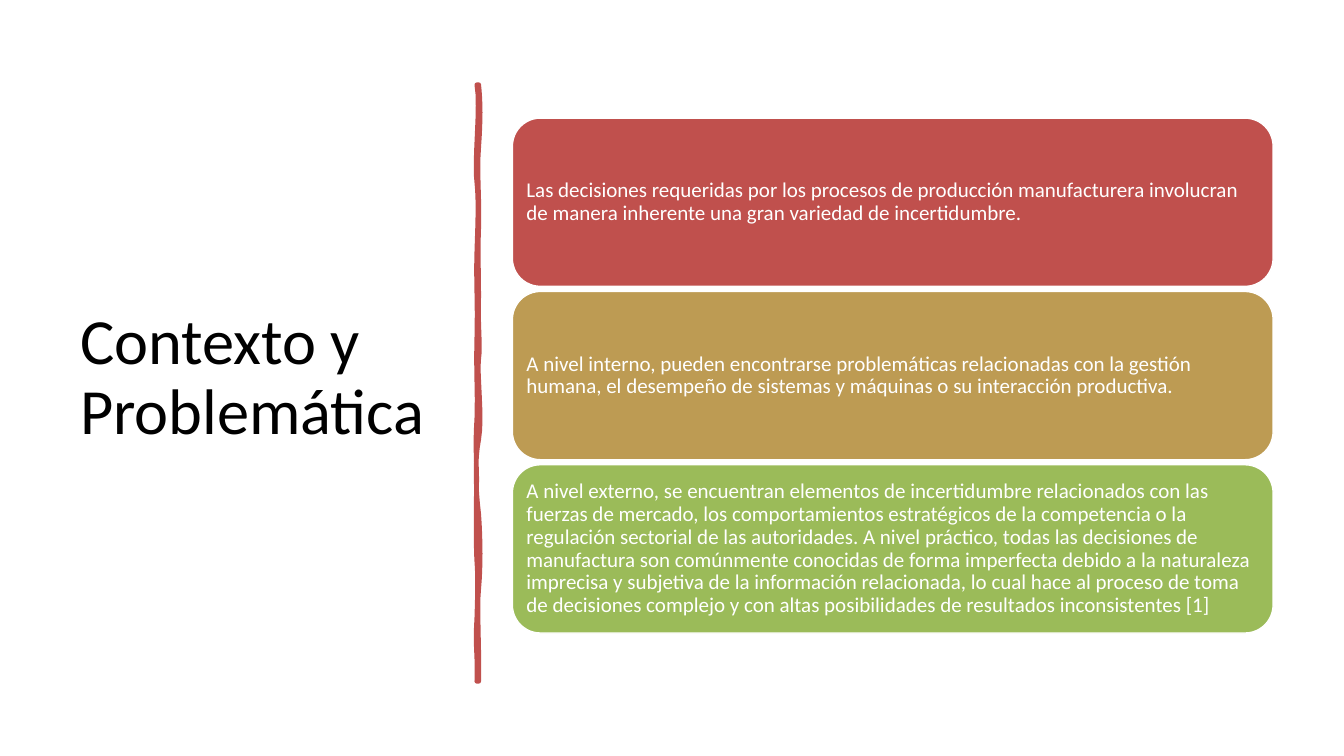
from pptx import Presentation
from pptx.dml.color import RGBColor
from pptx.enum import shapes, text
from pptx.util import Pt

FONT = "Calibri"
COLORS = {"red": "C0504D", "gold": "BD9B53", "green": "9BBB59",
          "white": "FFFFFF", "black": "000000"}
TITLE = "Contexto y Problemática"
STATEMENTS = [
    ("red", "Las decisiones requeridas por los procesos de producción manufacturera "
            "involucran de manera inherente una gran variedad de incertidumbre."),
    ("gold", "A nivel interno, pueden encontrarse problemáticas relacionadas con la "
             "gestión humana, el desempeño de sistemas y máquinas o su interacción "
             "productiva."),
    ("green", "A nivel externo, se encuentran elementos de incertidumbre relacionados "
              "con las fuerzas de mercado, los comportamientos estratégicos de la "
              "competencia o la regulación sectorial de las autoridades. A nivel "
              "práctico, todas las decisiones de manufactura son comúnmente conocidas "
              "de forma imperfecta debido a la naturaleza imprecisa y subjetiva de la "
              "información relacionada, lo cual hace al proceso de toma de decisiones "
              "complejo y con altas posibilidades de resultados inconsistentes [1]"),
]
RIGHT_EDGE = [
    (1.4, 13, 1.4, 25, 44.6), (-1.4, 64, 0.7, 80, 102.2),
    (-0.7, 124.5, 0, 128, 151.2), (-0.7, 173.5, 1.4, 186, 195.8),
    (-1.4, 206, 2.9, 237.6, 253.4), (-2.9, 268.5, -2.2, 288, 306.7),
    (1.4, 325.4, 1.4, 345.6, 360), (-1.4, 373.7, 0.7, 407.5, 426.2),
]
LEFT_EDGE = [
    (0.7, 404.6, -1.4, 403.2, 380.9), (0.7, 359.3, 0.7, 350, 340.5),
    (-0.7, 331.2, -0.7, 296, 283), (0, 270, -1.4, 260, 238.3),
    (0.7, 217.4, -0.7, 208, 180.7), (0.7, 154, -0.7, 141.8, 119.5),
    (0.7, 96.5, 1.4, 83.5, 69.8), (-2.2, 57, 2.9, 14.4, 0),
]


def rgb(name):
    return RGBColor.from_string(COLORS[name])


def format_text(frame, size, color):
    frame.word_wrap = True
    frame.vertical_anchor = text.MSO_ANCHOR.MIDDLE
    paragraph = frame.paragraphs[0]
    paragraph.alignment = text.PP_ALIGN.LEFT
    paragraph.line_spacing = 0.9
    font = paragraph.runs[0].font
    font.name, font.size = FONT, Pt(size)
    font.color.rgb = rgb(color)


def add_heading(slide, left, top, width, height):
    heading = slide.shapes.title
    heading.left, heading.top = Pt(left), Pt(top)
    heading.width, heading.height = Pt(width), Pt(height)
    heading.text_frame.text = TITLE
    heading.text_frame.auto_size = text.MSO_AUTO_SIZE.NONE
    format_text(heading.text_frame, 46, "black")


def edge_points(x, start, bends, steps=8):
    points = []
    for dx1, y1, dx2, y2, end in bends:
        for step in range(1, steps + 1):
            t = step / steps
            near, far = 3 * t * (1 - t) ** 2, 3 * t ** 2 * (1 - t)
            y = start * (1 - t) ** 3 + near * y1 + far * y2 + end * t ** 3
            points.append((x + near * dx1 + far * dx2, y))
        start = end
    return points


def add_divider(slide, left, top, width, height):
    outline = edge_points(width, 0, RIGHT_EDGE) + [(0, height)]
    outline += edge_points(0, height, LEFT_EDGE)
    builder = slide.shapes.build_freeform(Pt(left + width), Pt(top))
    builder.add_line_segments([(Pt(left + x), Pt(top + y)) for x, y in outline])
    divider = builder.convert_to_shape()
    divider.shadow.inherit = False
    divider.fill.solid()
    divider.fill.fore_color.rgb = rgb("red")
    divider.line.color.rgb = rgb("red")
    divider.line.width = Pt(3.25)


def add_statements(slide, left, top, width, height, gap=3.6):
    card_height = (height - gap * (len(STATEMENTS) - 1)) / len(STATEMENTS)
    for index, (color, wording) in enumerate(STATEMENTS):
        card = slide.shapes.add_shape(
            shapes.MSO_SHAPE.ROUNDED_RECTANGLE, Pt(left),
            Pt(top + index * (card_height + gap)), Pt(width), Pt(card_height))
        card.shadow.inherit = False
        card.fill.solid()
        card.fill.fore_color.rgb = rgb(color)
        card.line.color.rgb = rgb("white")
        card.line.width = Pt(1)
        frame = card.text_frame
        frame.margin_left = frame.margin_right = Pt(4.2)
        frame.margin_top = frame.margin_bottom = Pt(4.2)
        frame.text = wording
        format_text(frame, 15, "white")


def main():
    deck = Presentation()
    deck.slide_width, deck.slide_height = Pt(960), Pt(540)
    slide = deck.slides.add_slide(deck.slide_layouts[5])
    add_heading(slide, 50, 50.4, 269, 440)
    add_divider(slide, 340.6, 60.5, 1.4, 426.2)
    add_statements(slide, 366, 84.4, 543.4, 367.8)
    deck.save("out.pptx")


if __name__ == "__main__":
    main()
